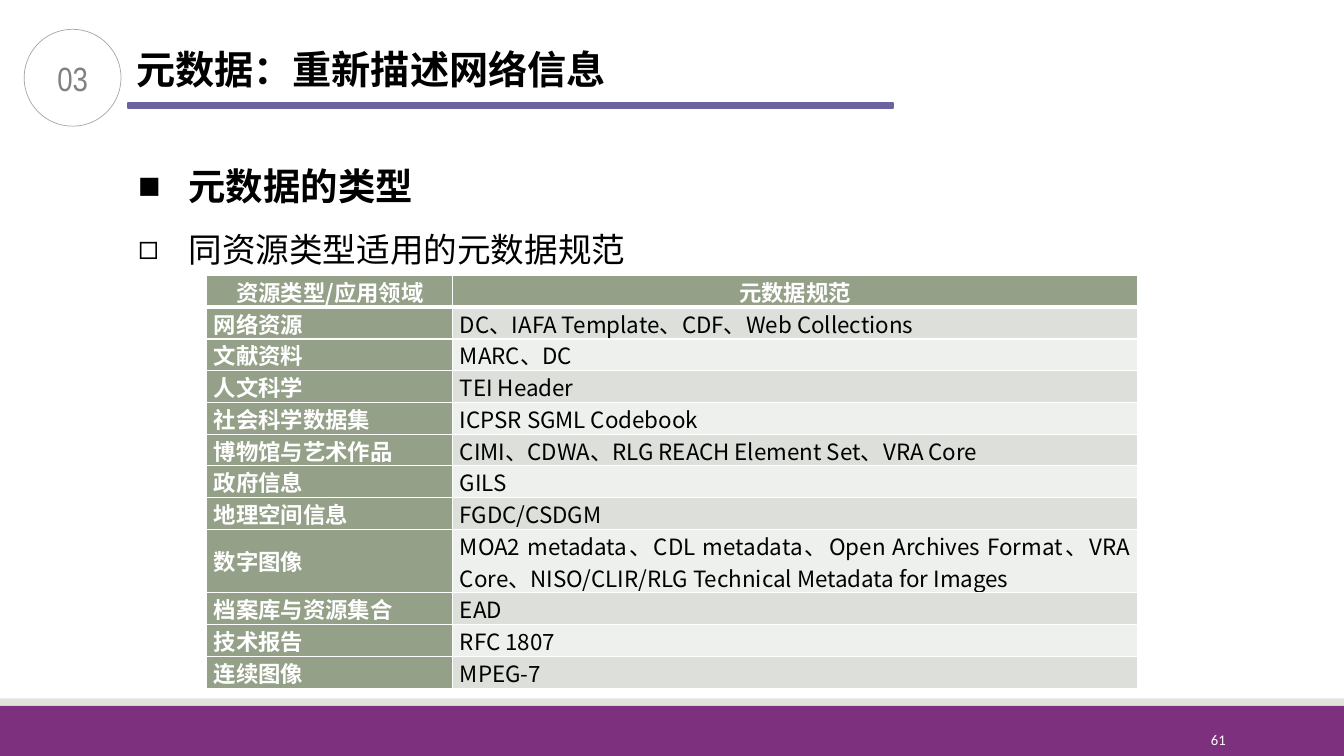
from lxml import etree
from pptx import Presentation
from pptx import util as u
from pptx.dml.color import RGBColor
from pptx.enum import shapes, text
from pptx.oxml import ns

COLORS = {
    "purple": "7D307E", "pale": "E0E4DB", "rule": "6964A0", "ring": "A6A6A6",
    "number": "808080", "sage": "94A088", "odd": "DCDFDA", "even": "EEF0ED",
    "white": "FFFFFF", "black": "000000",
}
CJK = "Noto Sans CJK SC"
ALIGN = text.PP_ALIGN
MIDDLE = text.MSO_ANCHOR.MIDDLE


def write(paragraph, words, size=16, color="black", bold=False, font=CJK,
          align=ALIGN.LEFT, bullet=None):
    if bullet:
        properties = paragraph._p.get_or_add_pPr()
        properties.set("marL", str(u.Cm(1.27)))
        properties.set("indent", str(-u.Cm(1.27)))
        etree.SubElement(properties, ns.qn("a:buFont")).set("typeface", "Arial")
        etree.SubElement(properties, ns.qn("a:buChar")).set("char", bullet)
        paragraph.line_spacing = 1.5
    paragraph.alignment = align
    run = paragraph.add_run()
    run.text = words
    run.font.size = u.Pt(size)
    run.font.bold = bold
    run.font.color.rgb = RGBColor.from_string(COLORS[color])
    run.font.name = font
    etree.SubElement(run._r.get_or_add_rPr(), ns.qn("a:ea")).set("typeface", font)


def add_shape(kind, left, top, width, height, fill=None, line=None, weight=1):
    shape = slide.shapes.add_shape(kind, u.Cm(left), u.Cm(top), u.Cm(width), u.Cm(height))
    shape.shadow.inherit = False
    if fill:
        shape.fill.solid()
        shape.fill.fore_color.rgb = RGBColor.from_string(COLORS[fill])
    else:
        shape.fill.background()
    if line:
        shape.line.color.rgb = RGBColor.from_string(COLORS[line])
        shape.line.width = u.Pt(weight)
    else:
        shape.line.fill.background()
    return shape


presentation = Presentation()
presentation.slide_width = u.Cm(33.87)
presentation.slide_height = u.Cm(19.05)
slide = presentation.slides.add_slide(presentation.slide_layouts[6])

RECTANGLE = shapes.MSO_SHAPE.RECTANGLE
add_shape(RECTANGLE, 0, 17.78, 33.87, 1.27, "purple")
add_shape(RECTANGLE, 0, 17.6, 33.87, 0.18, "pale")
add_shape(RECTANGLE, 3.23, 2.59, 19.28, 0.13, "rule", "rule", 1.25)

page_number = slide.shapes.add_textbox(u.Cm(27.51), u.Cm(18.14), u.Cm(3.63), u.Cm(1.02))
page_number.text_frame.word_wrap = True
page_number.text_frame.vertical_anchor = MIDDLE
write(page_number.text_frame.paragraphs[0], "61", 10.5, "white", font="Calibri", align=ALIGN.RIGHT)

badge = add_shape(shapes.MSO_SHAPE.OVAL, 0.61, 0.74, 2.44, 2.44, line="ring", weight=0.5)
badge.text_frame.vertical_anchor = MIDDLE
write(badge.text_frame.paragraphs[0], "03", 24, "number", font="Arial Narrow", align=ALIGN.CENTER)

title = slide.shapes.add_textbox(u.Cm(3.18), u.Cm(1.02), u.Cm(12.55), u.Cm(1.45))
title.text_frame.word_wrap = False
write(title.text_frame.paragraphs[0], "元数据：重新描述网络信息", 28, bold=True)

body = slide.shapes.add_textbox(u.Cm(3.23), u.Cm(3.43), u.Cm(27.1), u.Cm(3.33))
body.text_frame.word_wrap = True
write(body.text_frame.paragraphs[0], "元数据的类型", 26.7, bold=True, bullet="■")
write(body.text_frame.add_paragraph(), "同资源类型适用的元数据规范", 24, bullet="◻")

ROWS = [
    ("资源类型/应用领域", "元数据规范"),
    ("网络资源", "DC、IAFA Template、CDF、Web Collections"),
    ("文献资料", "MARC、DC"),
    ("人文科学", "TEI Header"),
    ("社会科学数据集", "ICPSR SGML Codebook"),
    ("博物馆与艺术作品", "CIMI、CDWA、RLG REACH Element Set、VRA Core"),
    ("政府信息", "GILS"),
    ("地理空间信息", "FGDC/CSDGM"),
    ("数字图像", "MOA2 metadata、CDL metadata、Open Archives Format、"
                 "VRA Core、NISO/CLIR/RLG Technical Metadata for Images"),
    ("档案库与资源集合", "EAD"),
    ("技术报告", "RFC 1807"),
    ("连续图像", "MPEG-7"),
]
TALL_ROW = 8
table = slide.shapes.add_table(len(ROWS), 2, u.Cm(5.21), u.Cm(6.94), u.Cm(23.45), u.Cm(10.4)).table
table.horz_banding = False
table.columns[0].width = u.Cm(6.2)
table.columns[1].width = u.Cm(17.25)

for row, entries in enumerate(ROWS):
    table.rows[row].height = u.Cm(1.6 if row == TALL_ROW else 0.8)
    for column, words in enumerate(entries):
        cell = table.cell(row, column)
        heading = row == 0 or column == 0
        fill = "sage" if heading else "odd" if row % 2 else "even"
        cell.fill.solid()
        cell.fill.fore_color.rgb = RGBColor.from_string(COLORS[fill])
        cell.margin_left = cell.margin_right = u.Cm(0.18)
        cell.margin_top = cell.margin_bottom = 0
        if not heading or row == TALL_ROW:
            cell.vertical_anchor = MIDDLE
        write(cell.text_frame.paragraphs[0], words, color="white" if heading else "black",
              bold=heading, align=ALIGN.JUSTIFY if row else ALIGN.CENTER)
        for position, side in enumerate("LRTB"):
            thick = (row, side) in ((0, "B"), (1, "T"))
            border = etree.Element(ns.qn("a:ln" + side), w=str(u.Pt(3 if thick else 1)))
            paint = etree.SubElement(border, ns.qn("a:solidFill"))
            etree.SubElement(paint, ns.qn("a:srgbClr")).set("val", COLORS["white"])
            cell._tc.get_or_add_tcPr().insert(position, border)

presentation.save("out.pptx")
